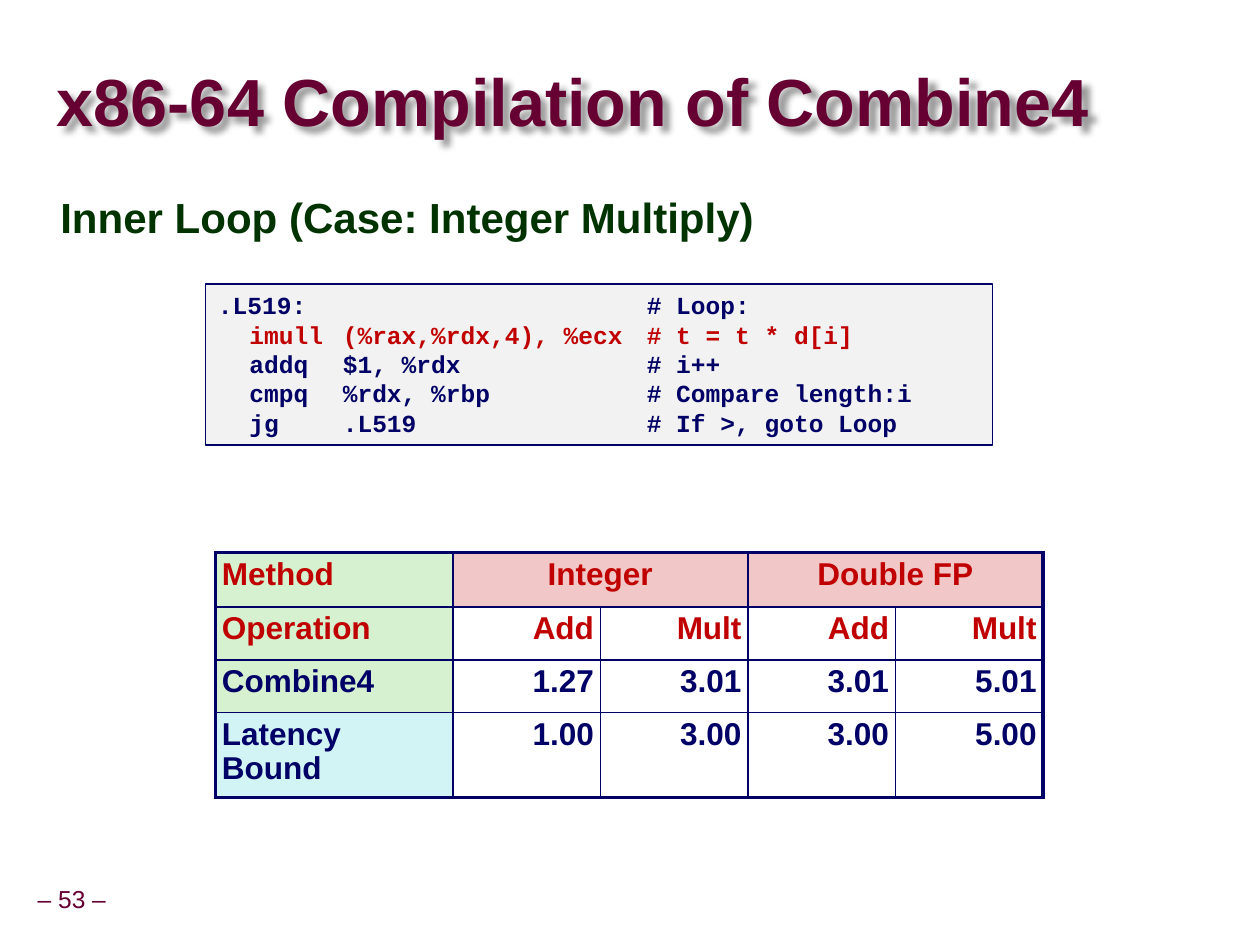
"""Build the slide on the x86-64 compilation of Combine4."""
from dataclasses import dataclass

from lxml.etree import SubElement as Sub
from pptx import Presentation
from pptx.dml.color import RGBColor as Rgb
from pptx.enum.shapes import MSO_SHAPE as Shape
from pptx.enum.text import MSO_ANCHOR as Anchor, PP_ALIGN as Align
from pptx.oxml.ns import qn
from pptx.util import Inches, Pt

NAVY, RED, WINE, PINE = "000066", "C00000", "660033", "003300"
GREEN, PINK, AQUA, GREY = "D5F1CF", "F1C7C7", "D2F4F4", "F2F2F2"
TABS = (0.25, 0.99, 3.4)
CODE = (
    (".L519:\t\t# Loop:", NAVY),
    ("\timull\t(%rax,%rdx,4), %ecx\t# t = t * d[i]", RED),
    ("\taddq\t$1, %rdx\t# i++", NAVY),
    ("\tcmpq\t%rdx, %rbp\t# Compare length:i", NAVY),
    ("\tjg\t.L519\t# If >, goto Loop", NAVY),
)
ROWS = (
    ("Method", "Integer", "", "Double FP", ""),
    ("Operation", "Add", "Mult", "Add", "Mult"),
    ("Combine4", "1.27", "3.01", "3.01", "5.01"),
    ("Latency Bound", "1.00", "3.00", "3.00", "5.00"),
)
HEADS = (GREEN, GREEN, GREEN, AQUA)
WIDE = (1.88, 1.17, 1.17, 1.17, 1.17)
HIGH = (0.43, 0.42, 0.42, 0.67)
SIDES = ("left", "right", "top", "bottom")


@dataclass
class Label:
    text: str
    box: tuple
    size: float
    color: str
    bold: bool = True
    space: float = 1.0
    pad: tuple = (0.1, 0.05)
    anchor: Anchor = Anchor.MIDDLE
    align: Align = Align.LEFT
    wrap: bool = True
    shade: bool = False


LABELS = (
    Label("– 53 –", (0.23, 6.98, 0.68, 0.32), 14, WINE, bold=False, space=0.9,
          pad=(0.05, 0.05), align=Align.CENTER, wrap=False),
    Label("x86-64 Compilation of Combine4", (0.45, 0.42, 8.29, 0.83), 38, WINE,
          space=0.87, pad=(0, 0), shade=True),
    Label("Inner Loop (Case: Integer Multiply)", (0.38, 1.5, 9.02, 0.75), 24,
          PINE, space=0.95, anchor=Anchor.TOP),
)


def rgb(code: str) -> Rgb:
    """Turn a hex string into a colour."""
    return Rgb.from_string(code)


def apply(item, form: dict) -> None:
    """Set each named value on an item."""
    for key, val in form.items():
        setattr(item, key, val)


def inset(item, pad: tuple) -> None:
    """Set side and top margins of a frame or cell."""
    for side, gap in zip(SIDES, (pad[0], pad[0], pad[1], pad[1])):
        setattr(item, f"margin_{side}", Inches(gap))


def write(para, text: str, size: float, color: str, font: str = "Arial",
          bold: bool = True) -> None:
    """Add one run of styled text."""
    run = para.add_run()
    run.text = text
    apply(run.font, {"name": font, "size": Pt(size), "bold": bold})
    run.font.color.rgb = rgb(color)


def tint(node, code: str):
    """Add a solid fill in XML and return its colour node."""
    return Sub(Sub(node, qn("a:solidFill")), qn("a:srgbClr"), val=code)


def cast(shape) -> None:
    """Give text a soft shadow to the lower right."""
    glow = Sub(Sub(shape._element.spPr, qn("a:effectLst")), qn("a:outerShdw"),
               blurRad="50800", dist="50800", dir="2700000", algn="tl")
    tone = Sub(glow, qn("a:srgbClr"), val="000000")
    Sub(tone, qn("a:alpha"), val="40000")


def draw_label(slide, spec: Label) -> None:
    """Draw one line of text."""
    shape = slide.shapes.add_textbox(*map(Inches, spec.box))
    frame = shape.text_frame
    apply(frame, {"word_wrap": spec.wrap, "vertical_anchor": spec.anchor})
    inset(frame, spec.pad)
    para = frame.paragraphs[0]
    apply(para, {"alignment": spec.align, "line_spacing": spec.space})
    write(para, spec.text, spec.size, spec.color, bold=spec.bold)
    if spec.shade:
        cast(shape)


def draw_code(slide) -> None:
    """Draw the assembly listing in its box."""
    shape = slide.shapes.add_shape(
        Shape.RECTANGLE, *map(Inches, (1.63, 2.25, 6.24, 1.28)))
    shape.shadow.inherit = False
    shape.fill.solid()
    shape.fill.fore_color.rgb = rgb(GREY)
    shape.line.color.rgb = rgb(NAVY)
    shape.line.width = Pt(1)
    frame = shape.text_frame
    apply(frame, {"word_wrap": True, "vertical_anchor": Anchor.TOP})
    inset(frame, (0.1, 0.05))
    for num, (text, color) in enumerate(CODE):
        para = frame.add_paragraph() if num else frame.paragraphs[0]
        para.alignment = Align.LEFT
        stops = Sub(para._p.get_or_add_pPr(), qn("a:tabLst"))
        for pos in TABS:
            Sub(stops, qn("a:tab"), pos=str(Inches(pos)), algn="l")
        write(para, text, 14, color, "Courier New")


def edge(cell, row: int, col: int) -> None:
    """Rule a cell, with heavy lines on the outer frame."""
    last = col + cell.span_width == len(WIDE) or col == len(WIDE) - 1
    outer = {"L": col == 0, "R": last, "T": row == 0,
             "B": row == len(ROWS) - 1}
    props = cell._tc.get_or_add_tcPr()
    for side, heavy in outer.items():
        line = Sub(props, qn(f"a:ln{side}"), w=str(Pt(2.25 if heavy else 1)))
        tint(line, NAVY)


def draw_table(slide) -> None:
    """Draw the table of cycles per element."""
    table = slide.shapes.add_table(
        len(ROWS), len(WIDE), *map(Inches, (1.71, 4.38, 6.56, 1.94))).table
    apply(table, {"first_row": False, "horz_banding": False})
    for band, wide in zip(table.columns, WIDE):
        band.width = Inches(wide)
    for band, high in zip(table.rows, HIGH):
        band.height = Inches(high)
    for col in (1, 3):
        table.cell(0, col).merge(table.cell(0, col + 1))
    for row, words in enumerate(ROWS):
        for col, text in enumerate(words):
            cell = table.cell(row, col)
            inset(cell, (0.05, 0.05))
            edge(cell, row, col)
            fill = HEADS[row] if col == 0 else PINK if row == 0 else None
            if fill:
                cell.fill.solid()
                cell.fill.fore_color.rgb = rgb(fill)
            else:
                cell.fill.background()
            if not text:
                continue
            para = cell.text_frame.paragraphs[0]
            side = Align.CENTER if row == 0 else Align.RIGHT
            apply(para, {"alignment": side if col else Align.LEFT,
                         "line_spacing": 0.95})
            write(para, text, 18, RED if row < 2 else NAVY)


def main() -> None:
    """Build and save the slide."""
    deck = Presentation()
    apply(deck, {"slide_width": Inches(9.99), "slide_height": Inches(7.49)})
    slide = deck.slides.add_slide(deck.slide_layouts[6])
    for spec in LABELS:
        draw_label(slide, spec)
    draw_code(slide)
    draw_table(slide)
    deck.save("out.pptx")


if __name__ == "__main__":
    main()
